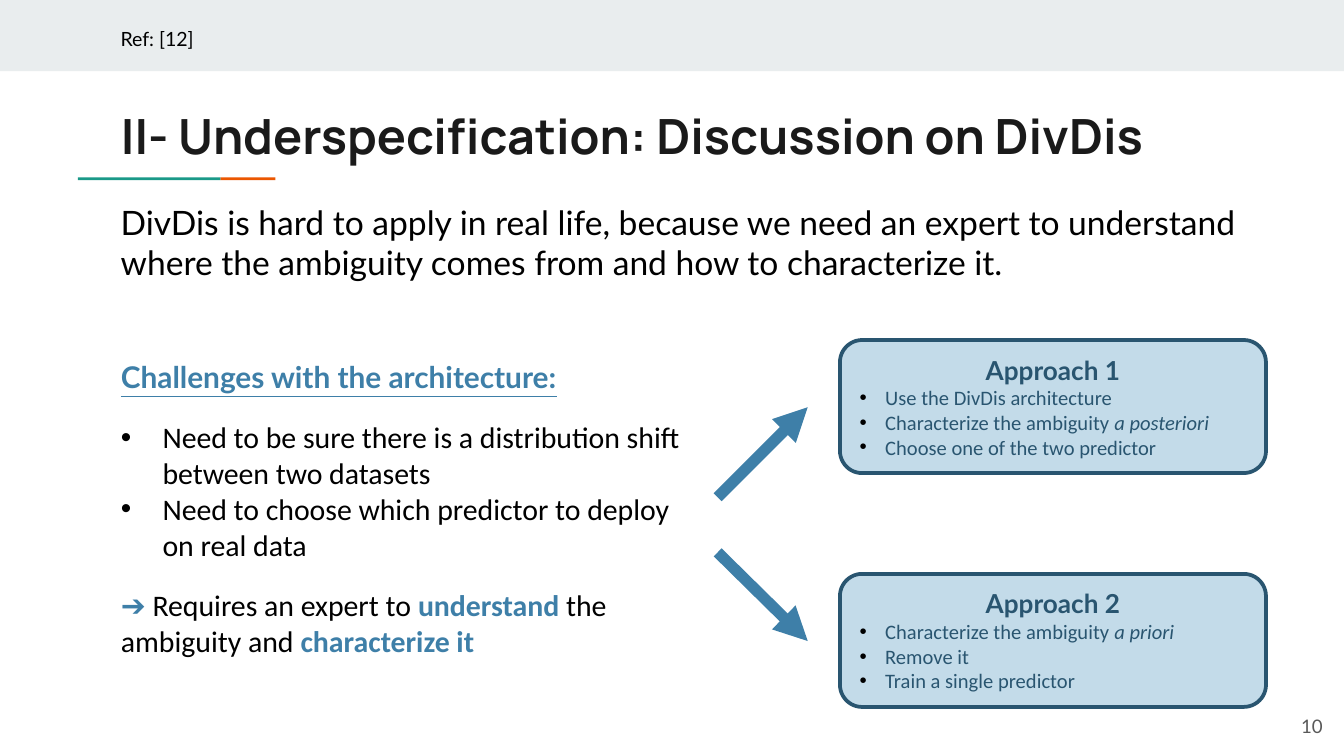
from pptx import Presentation
from pptx.dml.color import RGBColor
from pptx.enum.shapes import MSO_CONNECTOR, MSO_SHAPE
from pptx.enum.text import MSO_ANCHOR, MSO_AUTO_SIZE, PP_ALIGN
from pptx.oxml import parse_xml
from pptx.oxml.ns import nsdecls
from pptx.util import Inches, Pt

BLUE, NAVY, PALE, BLACK = "3E7FA8", "295570", "C3DBE9", "000000"


def write(para, text, size, font="Lato", color=BLACK, bold=False, italic=False, underline=False):
    span = para.add_run()
    span.text = text
    span.font.size = Pt(size)
    span.font.name = font
    span.font.color.rgb = RGBColor.from_string(color)
    span.font.bold, span.font.italic, span.font.underline = bold, italic, underline


def set_bullet(para, indent):
    """Give the paragraph a black bullet hanging by indent inches; 0 means no bullet."""
    properties = para._p.get_or_add_pPr()
    properties.set("marL", str(Inches(indent)))
    properties.set("indent", str(-Inches(indent)))
    if indent:
        properties.append(parse_xml(f'<a:buClr {nsdecls("a")}><a:srgbClr val="{BLACK}"/></a:buClr>'))
        properties.append(parse_xml(f'<a:buFont {nsdecls("a")} typeface="Arial"/>'))
        properties.append(parse_xml(f'<a:buChar {nsdecls("a")} char="•"/>'))
    else:
        properties.append(parse_xml(f'<a:buNone {nsdecls("a")}/>'))


deck = Presentation()
deck.slide_width = Inches(10)
deck.slide_height = Inches(10) * 9 // 16
page = deck.slides.add_slide(deck.slide_layouts[1])

# Header band and two-colour rule under the title
for left, top, width, height, color in [
    (0, 0, 10, 0.53, "E9EDEE"),
    (1.64, 1.32, 0.41, 0.02, "EB5600"),
    (0.58, 1.32, 1.06, 0.02, "1A9988"),
]:
    band = page.shapes.add_shape(
        MSO_SHAPE.RECTANGLE, Inches(left), Inches(top), Inches(width), Inches(height))
    band.shadow.inherit = False
    band.fill.solid()
    band.fill.fore_color.rgb = RGBColor.from_string(color)
    band.line.fill.background()

# Text areas
title, challenges = page.shapes.title, page.placeholders[1]
summary, number, reference = [page.shapes.add_textbox(0, 0, 0, 0) for _ in range(3)]
for box, left, top, width, height in [
    (title, 0.8, 0.69, 8.41, 0.59),
    (summary, 0.8, 1.4, 8.54, 0.81),
    (challenges, 0.8, 2.57, 4.45, 2.46),
    (number, 9.34, 5.19, 0.6, 0.43),
    (reference, 0.8, 0.15, 0.76, 0.28),
]:
    box.left, box.top = Inches(left), Inches(top)
    box.width, box.height = Inches(width), Inches(height)
    frame = box.text_frame
    frame.auto_size = MSO_AUTO_SIZE.NONE
    frame.word_wrap = box is not reference
    frame.vertical_anchor = MSO_ANCHOR.MIDDLE if box is number else MSO_ANCHOR.TOP
    frame.margin_left = frame.margin_right = Inches(0.1)
    frame.margin_top = frame.margin_bottom = Inches(0.05 if box is reference else 0.1)
    frame.paragraphs[0].alignment = PP_ALIGN.RIGHT if box is number else PP_ALIGN.LEFT

write(title.text_frame.paragraphs[0], "II- Underspecification: Discussion on DivDis",
      26, "Manrope", "1A1A1A", bold=True)
write(summary.text_frame.paragraphs[0],
      "DivDis is hard to apply in real life, because we need an expert to understand "
      "where the ambiguity comes from and how to characterize it.", 18)
write(number.text_frame.paragraphs[0], "10", 10, color="595959")
write(reference.text_frame.paragraphs[0], "Ref: [12]", 10.5)

# Challenges: space before, bullet indent, runs
accent = {"font": "Calibri", "color": BLUE, "bold": True}
plain = {"font": "Calibri"}
frame = challenges.text_frame
for index, (space, indent, spans) in enumerate([
    (0, 0, [("Challenges with the architecture:", {"color": BLUE, "bold": True, "underline": True})]),
    (13, 0.31, [("Need to be sure there is a distribution shift between two datasets", plain)]),
    (0, 0.31, [("Need to choose which predictor to deploy on real data", plain)]),
    (13, 0, [
        ("➔", {"font": "Calibri", "color": BLUE}),
        (" Requires an expert to ", plain),
        ("understand", accent),
        (" the ambiguity and ", plain),
        ("characterize it", accent),
    ]),
]):
    para = frame.add_paragraph() if index else frame.paragraphs[0]
    para.space_before = Pt(space)
    set_bullet(para, indent)
    for text, style in spans:
        write(para, text, 16, **style)

# Arrows towards the two approaches
for start, end in [(4.11, 4.77), (3.7, 3.03)]:
    arrow = page.shapes.add_connector(
        MSO_CONNECTOR.STRAIGHT, Inches(5.34), Inches(start), Inches(6.01), Inches(end))
    arrow.line.color.rgb = RGBColor.from_string(BLUE)
    arrow.line.width = Pt(6)
    arrow.line._get_or_add_ln().append(parse_xml(f'<a:tailEnd {nsdecls("a")} type="triangle"/>'))
    arrow._element.spPr.append(parse_xml(f'<a:effectLst {nsdecls("a")}/>'))

# Approach cards: each point has a plain part and an italic part
for top, heading, points in [
    (2.53, "Approach 1", [
        ("Use the DivDis architecture", ""),
        ("Characterize the ambiguity ", "a posteriori"),
        ("Choose one of the two predictor", ""),
    ]),
    (4.27, "Approach 2", [
        ("Characterize the ambiguity ", "a priori"),
        ("Remove it", ""),
        ("Train a single predictor", ""),
    ]),
]:
    card = page.shapes.add_shape(
        MSO_SHAPE.ROUNDED_RECTANGLE, Inches(6.25), Inches(top), Inches(3.17), Inches(0.99))
    card.shadow.inherit = False
    card.fill.solid()
    card.fill.fore_color.rgb = RGBColor.from_string(PALE)
    card.line.color.rgb = RGBColor.from_string(NAVY)
    card.line.width = Pt(2)
    frame = card.text_frame
    frame.word_wrap = True
    frame.vertical_anchor = MSO_ANCHOR.MIDDLE
    frame.paragraphs[0].alignment = PP_ALIGN.CENTER
    write(frame.paragraphs[0], heading, 14, color=NAVY, bold=True)
    for text, emphasis in points:
        para = frame.add_paragraph()
        para.alignment = PP_ALIGN.LEFT
        set_bullet(para, 0.19)
        write(para, text, 11, "Calibri", NAVY)
        if emphasis:
            write(para, emphasis, 11, "Calibri", NAVY, italic=True)

deck.save("out.pptx")
